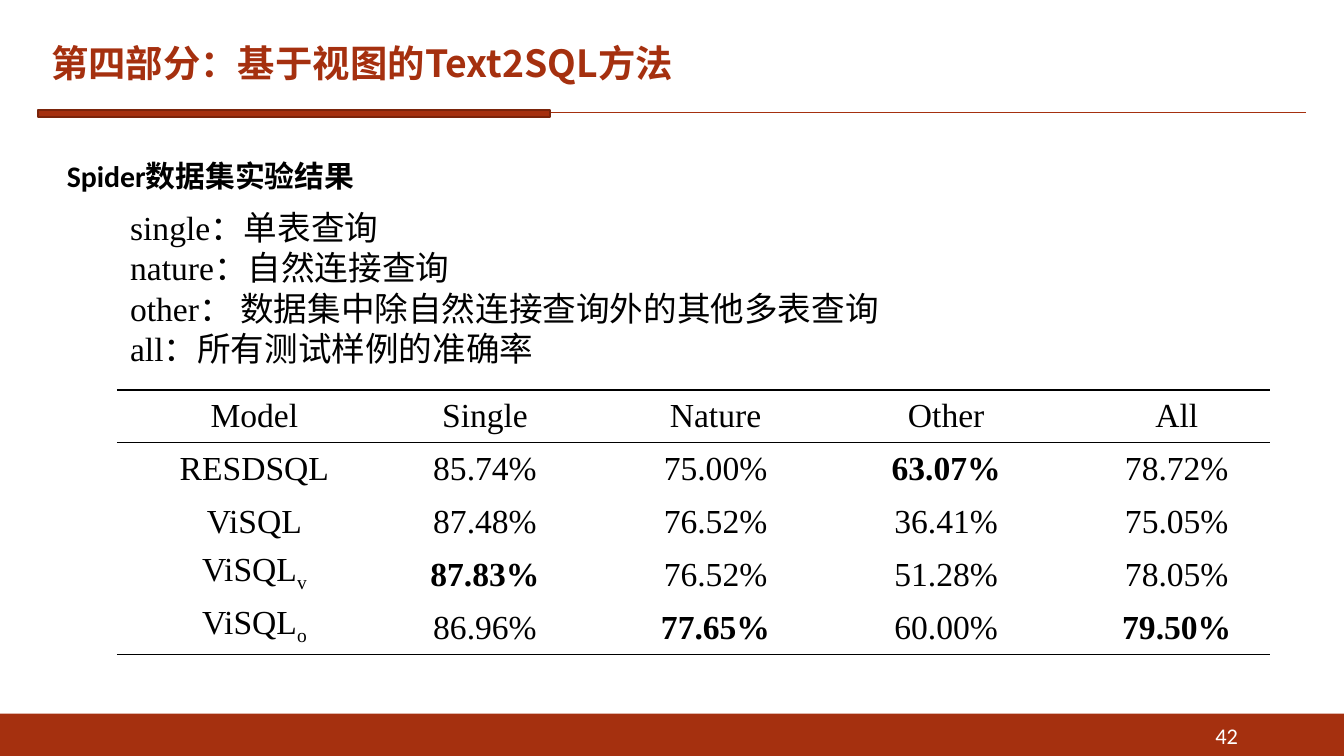
from lxml import etree
from pptx import Presentation
from pptx.dml.color import RGBColor
from pptx.enum.shapes import MSO_CONNECTOR, MSO_SHAPE
from pptx.enum.text import MSO_ANCHOR, MSO_AUTO_SIZE, PP_ALIGN
from pptx.oxml.ns import qn
from pptx.util import Inches, Pt

LEFT, CENTER, RIGHT = PP_ALIGN.LEFT, PP_ALIGN.CENTER, PP_ALIGN.RIGHT
TOP, MIDDLE = MSO_ANCHOR.TOP, MSO_ANCHOR.MIDDLE
NO_AUTOFIT = MSO_AUTO_SIZE.NONE
RECTANGLE, STRAIGHT = MSO_SHAPE.RECTANGLE, MSO_CONNECTOR.STRAIGHT
RUST, DARK_RUST, BLACK, WHITE = "A5300F", "7A240B", "000000", "FFFFFF"
CJK, SANS, SERIF = "Noto Sans CJK SC", "Calibri", "Times New Roman"
WIDTH = 10
HEIGHT = WIDTH * 9 / 16
FOOTER_TOP = 5.31

TITLE = "第四部分：基于视图的Text2SQL方法"
HEADING = "Spider数据集实验结果"
DEFINITIONS = [
    "single：单表查询",
    "nature：自然连接查询",
    "other： 数据集中除自然连接查询外的其他多表查询",
    "all：所有测试样例的准确率",
]
COLUMNS = ["Model", "Single", "Nature", "Other", "All"]
RESULTS = [
    (("RESDSQL", ""), ["85.74%", "75.00%", "63.07%", "78.72%"]),
    (("ViSQL", ""), ["87.48%", "76.52%", "36.41%", "75.05%"]),
    (("ViSQL", "v"), ["87.83%", "76.52%", "51.28%", "78.05%"]),
    (("ViSQL", "o"), ["86.96%", "77.65%", "60.00%", "79.50%"]),
]


def rgb(value):
    return RGBColor.from_string(value)


def box(left, top, width, height):
    return [Inches(v) for v in (left, top, width, height)]


class SlideBuilder:
    """Holds the style and the current slide, and draws each kind of element."""

    def __init__(self, slide):
        self.slide = slide
        self.shapes = slide.shapes

    def run(self, paragraph, text, font, size, color=BLACK, bold=False, baseline=0):
        run = paragraph.add_run()
        run.text = text
        for name, value in {"name": font, "size": Pt(size), "bold": bold}.items():
            setattr(run.font, name, value)
        run.font.color.rgb = rgb(color)
        properties = run._r.get_or_add_rPr()
        etree.SubElement(properties, qn("a:ea")).set("typeface", CJK)
        if baseline:
            properties.set("baseline", str(baseline * 1000))

    def fill_text(self, frame, lines, align=LEFT, anchor=TOP, spacing=1.0, **style):
        frame.word_wrap = True
        frame.auto_size = NO_AUTOFIT
        frame.vertical_anchor = anchor
        for index, line in enumerate(lines):
            paragraph = frame.add_paragraph() if index else frame.paragraphs[0]
            paragraph.alignment = align
            paragraph.line_spacing = spacing
            self.run(paragraph, line, **style)

    def title(self, text, area, **style):
        title = self.shapes.title
        for name, value in zip(("left", "top", "width", "height"), box(*area)):
            setattr(title, name, value)
        self.fill_text(title.text_frame, [text], anchor=MIDDLE, **style)

    def text(self, lines, area, **style):
        self.fill_text(self.shapes.add_textbox(*box(*area)).text_frame, lines, **style)

    def bar(self, area, outline=None):
        bar = self.shapes.add_shape(RECTANGLE, *box(*area))
        bar.shadow.inherit = False
        bar.fill.solid()
        bar.fill.fore_color.rgb = rgb(RUST)
        if outline:
            bar.line.color.rgb = rgb(outline)
            bar.line.width = Pt(1)
        else:
            bar.line.fill.background()

    def rule(self, start, end, y):
        rule = self.shapes.add_connector(STRAIGHT, *box(start, y, end, y))
        rule.line.color.rgb = rgb(RUST)
        rule.line.width = Pt(0.5)
        etree.SubElement(rule._element.spPr, qn("a:effectLst"))

    def borders(self, cell, ruled):
        properties = cell._tc.get_or_add_tcPr()
        for index, side in enumerate(("lnL", "lnR", "lnT", "lnB")):
            line = etree.Element(qn(f"a:{side}"), w=str(Pt(1)))
            if side in ruled:
                fill = etree.SubElement(line, qn("a:solidFill"))
                etree.SubElement(fill, qn("a:srgbClr")).set("val", BLACK)
            else:
                etree.SubElement(line, qn("a:noFill"))
            properties.insert(index, line)

    def cell(self, cell, text, subscript="", bold=False, ruled=()):
        margins = {"margin_left": 0.07, "margin_right": 0.07, "margin_top": 0, "margin_bottom": 0}
        for name, value in margins.items():
            setattr(cell, name, Inches(value))
        cell.vertical_anchor = MIDDLE
        cell.fill.background()
        self.borders(cell, ruled)
        paragraph = cell.text_frame.paragraphs[0]
        paragraph.alignment = CENTER
        paragraph.line_spacing = Pt(20)
        paragraph._p.get_or_add_pPr().set("indent", str(Inches(0.33)))
        self.run(paragraph, text, SERIF, 18, bold=bold)
        if subscript:
            self.run(paragraph, subscript, SERIF, 18, baseline=-25)

    def results_table(self, columns, results, area):
        table = self.shapes.add_table(len(results) + 1, len(columns), *box(*area)).table
        table.first_row = table.horz_banding = False
        best = [max(scores) for scores in zip(*(scores for _, scores in results))]
        for column, name in enumerate(columns):
            self.cell(table.cell(0, column), name, ruled=("lnT", "lnB"))
        for row, ((model, variant), scores) in enumerate(results, 1):
            ruled = {1: ("lnT",), len(results): ("lnB",)}.get(row, ())
            self.cell(table.cell(row, 0), model, variant, ruled=ruled)
            for column, (score, top) in enumerate(zip(scores, best), 1):
                self.cell(table.cell(row, column), score, bold=score == top, ruled=ruled)


def main():
    deck = Presentation()
    deck.slide_width, deck.slide_height = Inches(WIDTH), Inches(HEIGHT)
    page = SlideBuilder(deck.slides.add_slide(deck.slide_layouts[5]))
    page.bar((0, FOOTER_TOP, WIDTH, HEIGHT - FOOTER_TOP))
    page.rule(0.28, 9.72, 0.84)
    page.bar((0.28, 0.82, 3.81, 0.05), outline=DARK_RUST)
    page.title(TITLE, (0.28, 0.17, 6.57, 0.63), spacing=0.9,
               font=CJK, size=20, color=RUST, bold=True)
    page.text([HEADING], (0.4, 0.99, 4.93, 0.46), spacing=1.5, font=SANS, size=16, bold=True)
    page.text(["42"], (7.06, 5.32, 2.25, 0.3), align=RIGHT, anchor=MIDDLE,
              font=SANS, size=12, color=WHITE)
    page.text(DEFINITIONS, (0.87, 1.49, 6.57, 1.31), font=SERIF, size=18)
    page.results_table(COLUMNS, RESULTS, (0.87, 2.9, 8.58, 1.97))
    deck.save("out.pptx")


if __name__ == "__main__":
    main()
